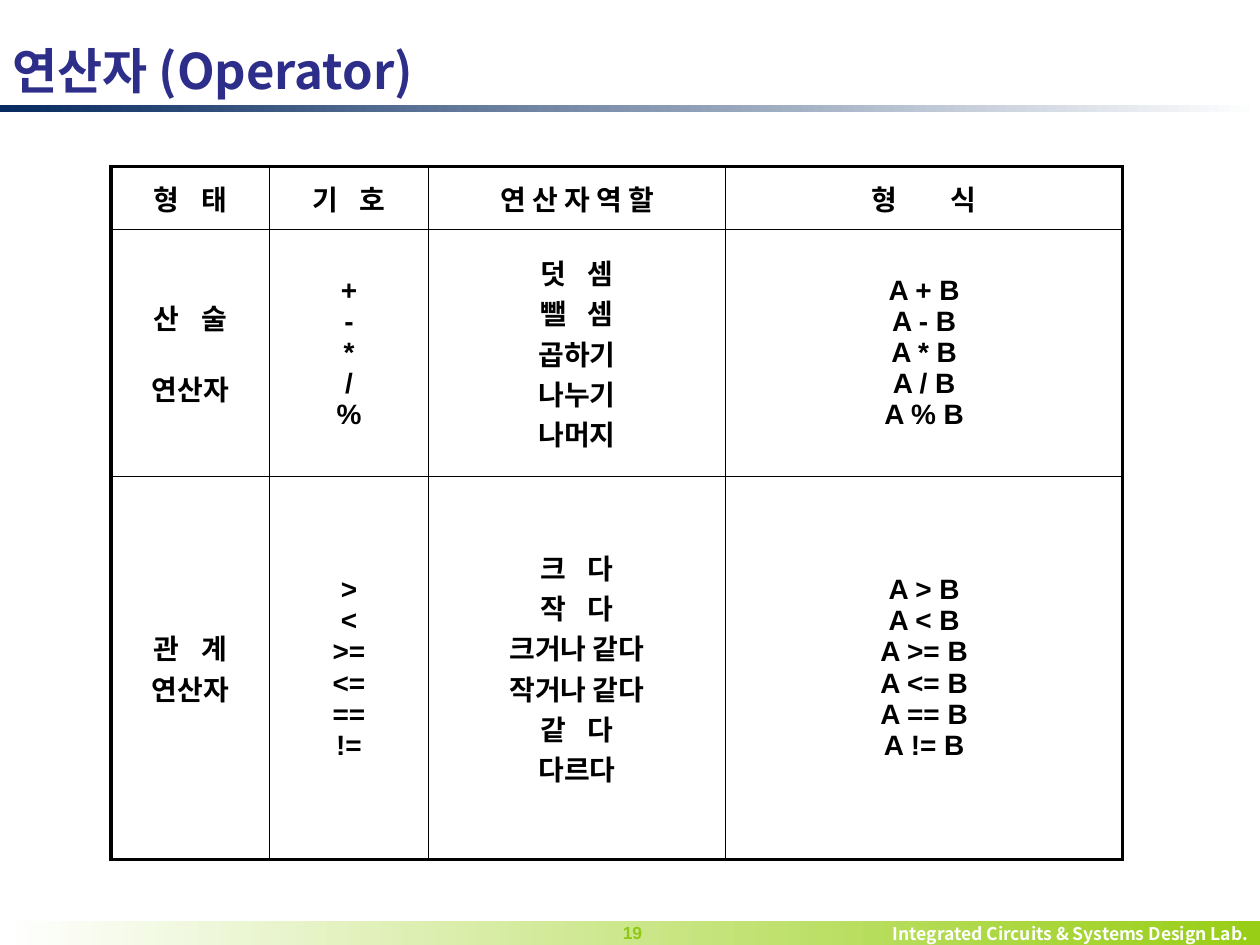
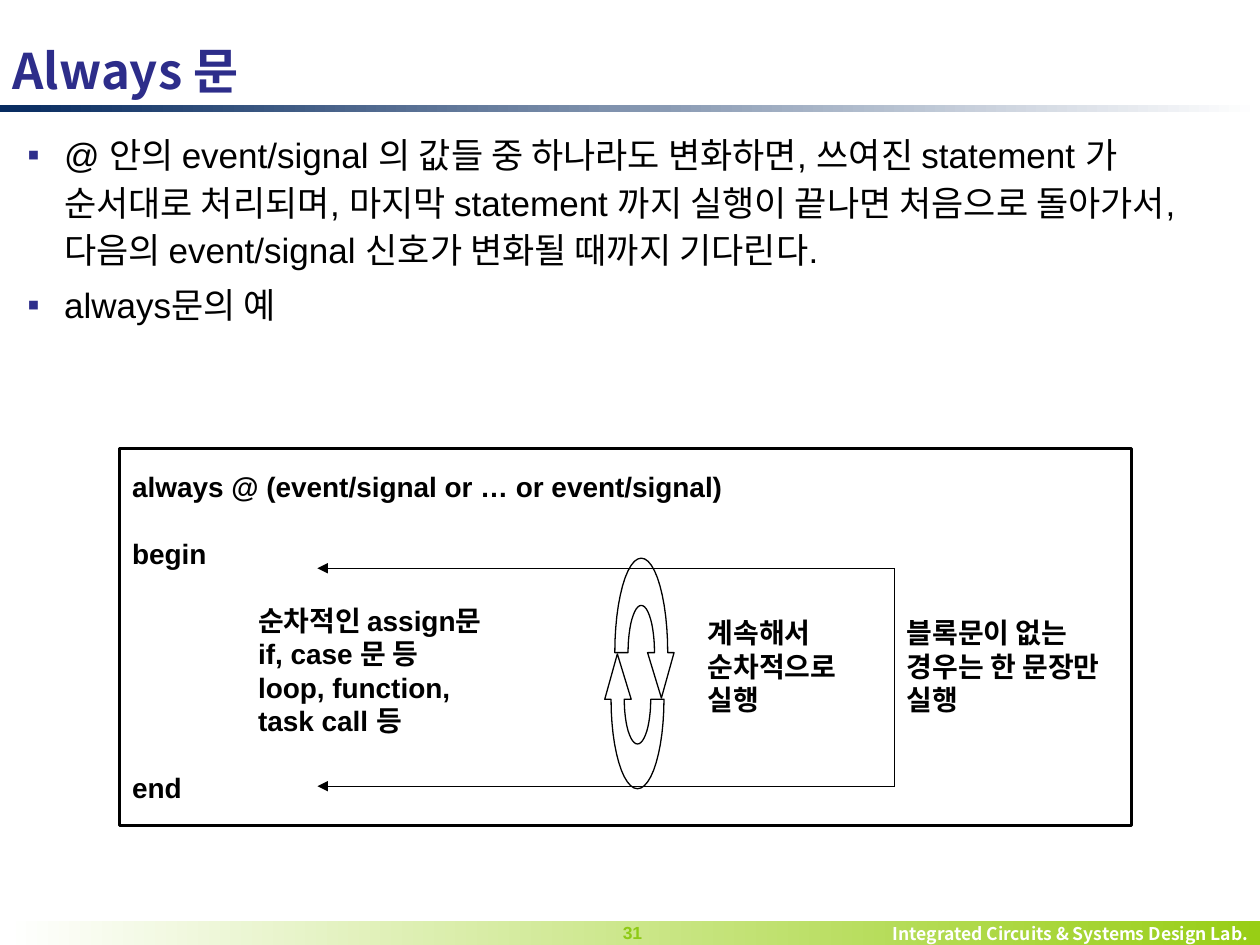
import math
from lxml import etree
from pptx import Presentation, util as u
from pptx.dml.color import RGBColor
from pptx.enum import shapes, text
from pptx.oxml import ns

BLACK = RGBColor(0x00, 0x00, 0x00)
WHITE = RGBColor(0xFF, 0xFF, 0xFF)
NAVY = RGBColor(0x07, 0x2B, 0x60)
INDIGO = RGBColor(0x2D, 0x2D, 0x8A)
LIME = RGBColor(0x98, 0xCE, 0x15)
GREEN = RGBColor(0x8E, 0xCA, 0x15)

LATIN, HANGUL = "Arial", "Noto Sans CJK KR"
COLS, ROWS = 100, 75          # grid laid over the slide
THIN, THICK = 1, 2.25         # table rules in points
LAB = "Integrated Circuits & Systems Design Lab."

LEFT, MID, RIGHT = (text.PP_ALIGN.LEFT, text.PP_ALIGN.CENTER,
                    text.PP_ALIGN.RIGHT)


def sub(node, tag, **attrs):
    """Append a drawing element and return it."""
    child = etree.SubElement(node, ns.qn(tag))
    for key, val in attrs.items():
        child.set(key, str(val))
    return child


class Deck:
    def __init__(self):
        self.prs = Presentation()
        self.prs.slide_width = u.Inches(10)
        self.prs.slide_height = u.Inches(7.5)
        self.slide = None

    # Grid
    def x(self, col):
        return round(self.prs.slide_width * col / COLS)

    def y(self, row):
        return round(self.prs.slide_height * row / ROWS)

    def area(self, col, row, wide, high):
        return self.x(col), self.y(row), self.x(wide), self.y(high)

    # Text
    def style(self, para, size=16, color=BLACK, bold=True, font=LATIN,
              align=LEFT, pitch=None):
        para.alignment = align
        if pitch:
            para.line_spacing = u.Pt(pitch)
        for run in para.runs:
            run.font.size, run.font.bold = u.Pt(size), bold
            run.font.color.rgb = color
            run.font.name = font
            sub(run._r.get_or_add_rPr(), "a:ea", typeface=HANGUL)

    def label(self, frame, words, anchor=text.MSO_ANCHOR.TOP, **look):
        frame.text = words
        frame.word_wrap = True
        frame.vertical_anchor = anchor
        for para in frame.paragraphs:
            self.style(para, **look)
        return frame.paragraphs

    def note(self, area, words, **look):
        box = self.slide.shapes.add_textbox(*self.area(*area))
        return self.label(box.text_frame, words, **look)

    def points(self, area, words, pitch, **look):
        paras = self.note(area, words, bold=False, pitch=pitch, **look)
        for num, para in enumerate(paras):
            para.space_before = u.Pt(4 if num else 0)
            props = para._p.get_or_add_pPr()
            props.set("marL", str(u.Inches(0.29)))
            props.set("indent", str(-u.Inches(0.29)))
            sub(sub(props, "a:buClr"), "a:srgbClr", val=INDIGO)
            sub(props, "a:buFont", typeface=LATIN)
            sub(props, "a:buChar", char="▪")

    # Shapes
    def rect(self, area):
        box = self.slide.shapes.add_shape(
            shapes.MSO_SHAPE.RECTANGLE, *self.area(*area))
        box.shadow.inherit = False
        return box

    def band(self, area, start, end):
        box = self.rect(area)
        box.line.fill.background()
        box.fill.gradient()
        box.fill.gradient_angle = 0
        for stop, color in zip(box.fill.gradient_stops, (start, end)):
            stop.color.rgb = color
        return box

    def ink(self, shape, width):
        shape.line.color.rgb = BLACK
        shape.line.width = u.Pt(width)

    def line(self, start, end, arrow=False):
        link = self.slide.shapes.add_connector(
            shapes.MSO_CONNECTOR.STRAIGHT, self.x(start[0]), self.y(start[1]),
            self.x(end[0]), self.y(end[1]))
        self.ink(link, 0.75)
        if arrow:
            sub(link.line._get_or_add_ln(), "a:headEnd", type="triangle")
        sub(link._element.spPr, "a:effectLst")

    def hook(self, col, row, tall, turn):
        """Half-ring arrow around (col, row); turn -1 rotates it by 180°."""
        steps = [math.pi * n / 24 for n in range(25)]
        inner = [(1.05 * math.cos(a), -tall / 2 * math.sin(a)) for a in steps]
        outer = [(-2.1 * math.cos(a), -tall * math.sin(a)) for a in steps]
        head = [(2.6, 0), (1.6, 3.6), (0.5, 0)]
        dots = [(self.x(col + turn * dx), self.y(row + turn * dy))
                for dx, dy in inner + outer + head]
        pen = self.slide.shapes.build_freeform(*dots[0])
        pen.add_line_segments(dots[1:], close=True)
        ring = pen.convert_to_shape()
        ring.shadow.inherit = False
        ring.fill.background()
        self.ink(ring, 0.75)

    # Table
    def edges(self, cell, widths):
        props = cell._tc.get_or_add_tcPr()
        for side, width in zip("LRTB", widths):
            rule = sub(props, "a:ln" + side, w=u.Pt(width))
            sub(sub(rule, "a:solidFill"), "a:srgbClr", val=BLACK)
        cell.fill.background()

    def spread(self, para, gap):
        """Widen the space between two lone syllables."""
        word = para.text
        para.text = word[0]
        for char in word[1:]:
            para.add_run().text = char
        para.runs[1]._r.get_or_add_rPr().set("spc", str(gap))

    def table(self, area, wides, highs, rows):
        grid = self.slide.shapes.add_table(
            len(highs), len(wides), *self.area(*area)).table
        grid.first_row = grid.horz_banding = False
        for col, wide in zip(grid.columns, wides):
            col.width = self.x(wide)
        for row, high in zip(grid.rows, highs):
            row.height = self.y(high)
        last, foot = len(wides) - 1, len(highs) - 1
        for r, row in enumerate(rows):
            for c, words in enumerate(row):
                cell = grid.cell(r, c)
                outer = (c == 0, c == last, r == 0, r == foot)
                self.edges(cell, [THICK if out else THIN for out in outer])
                cell.vertical_anchor = text.MSO_ANCHOR.MIDDLE
                cell.text_frame.text = words
                for para in cell.text_frame.paragraphs:
                    if len(para.text) == 3 and para.text[1] == " ":
                        self.spread(para, 2670 if c == last else 890)
                    self.style(para, align=MID)
        return grid

    # Shared frame of every slide
    def page(self, title, number):
        self.slide = self.prs.slides.add_slide(self.prs.slide_layouts[5])
        head = self.slide.shapes.title
        head.left, head.top, head.width, head.height = self.area(
            0, 2.4, COLS, 6.3)
        middle = text.MSO_ANCHOR.MIDDLE
        self.label(head.text_frame, title, middle, size=28, color=INDIGO,
                   font=HANGUL)
        self.band((0, 8.3, COLS, 0.6), NAVY, WHITE)
        foot = self.band((0.4, 73.1, COLS - 0.4, 1.9), WHITE, LIME)
        self.label(foot.text_frame, LAB, middle, size=10, color=WHITE,
                   font=HANGUL, align=RIGHT)
        self.note((46.3, 72.7, 7.8, 2.7), str(number), size=10, color=GREEN,
                  align=MID)


def operators(deck):
    deck.page("연산자 (Operator)", 19)
    signs = ["+ - * / %".split(), "> < >= <= == !=".split()]
    kinds = ["산 술\n연산자", "관 계\n연산자"]
    roles = ["덧 셈\n뺄 셈\n곱하기\n나누기\n나머지",
             "크 다\n작 다\n크거나 같다\n작거나 같다\n같 다\n다르다"]
    rows = [["형 태", "기 호", "연 산 자 역 할", "형 식"]]
    for kind, marks, role in zip(kinds, signs, roles):
        forms = "\n".join(f"A {mark} B" for mark in marks)
        rows.append([kind, "\n".join(marks), role, forms])
    grid = deck.table((8.8, 13.2, 80.3, 55), [12.6, 12.6, 23.6, 31.5],
                      [5, 19.6, 30.4], rows)
    grid.cell(1, 0).text_frame.paragraphs[1].space_before = u.Pt(18)


def always(deck):
    deck.page("Always 문", 31)
    deck.points(
        (1.2, 9.7, 98, 18),
        "@ 안의 event/signal 의 값들 중 하나라도 변화하면, 쓰여진 statement 가 "
        "순서대로 처리되며, 마지막 statement 까지 실행이 끝나면 처음으로 "
        "돌아가서, 다음의 event/signal 신호가 변화될 때까지 기다린다.\n"
        "always문의 예", size=20, pitch=27.1)

    # Code block
    pitch = 19.1
    box = deck.rect((9.5, 35.6, 80.3, 29.9))
    box.fill.background()
    deck.ink(box, 1.75)
    steps = ["순차적인 assign문", "if, case 문 등", "loop, function,",
             "task call 등"]
    lines = ["always @ (event/signal or … or event/signal)", "begin",
             *steps, "end"]
    paras = deck.label(box.text_frame, "\n".join(lines),
                       text.MSO_ANCHOR.MIDDLE, pitch=pitch)
    for para in paras:
        if para.text in ("begin", steps[0], "end"):
            para.space_before = u.Pt(pitch)
        if para.text in steps:
            para._p.get_or_add_pPr().set("marL", str(u.Inches(1)))

    # Bracket with arrows to begin and end
    left, right, top, low = 25.2, 71, 45.1, 62.4
    for row in (top, low):
        deck.line((left, row), (right, row), arrow=True)
    deck.line((right, top), (right, low))

    # Side remarks and loop arrows
    deck.note((55.2, 48.4, 15.8, 9.1), "계속해서 순차적으로 실행", pitch=pitch)
    deck.note((right, 48.4, 18.3, 9.1), "블록문이 없는 경우는 한 문장만 실행",
              pitch=pitch)
    deck.hook(50.9, 51.8, 7.5, 1)
    deck.hook(50.6, 55.5, 7.1, -1)


def main():
    deck = Deck()
    operators(deck)
    always(deck)
    deck.prs.save("out.pptx")


if __name__ == "__main__":
    main()
